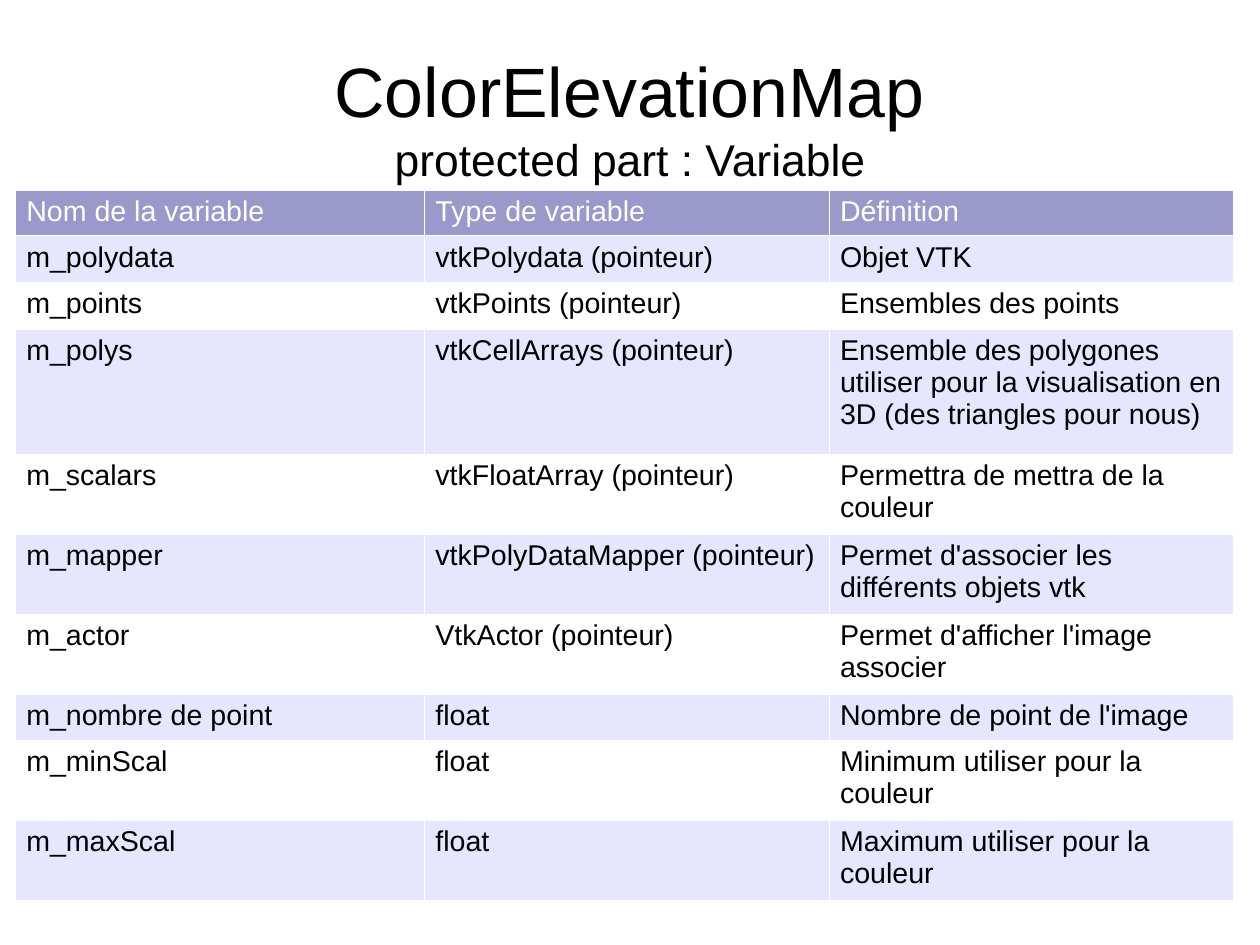
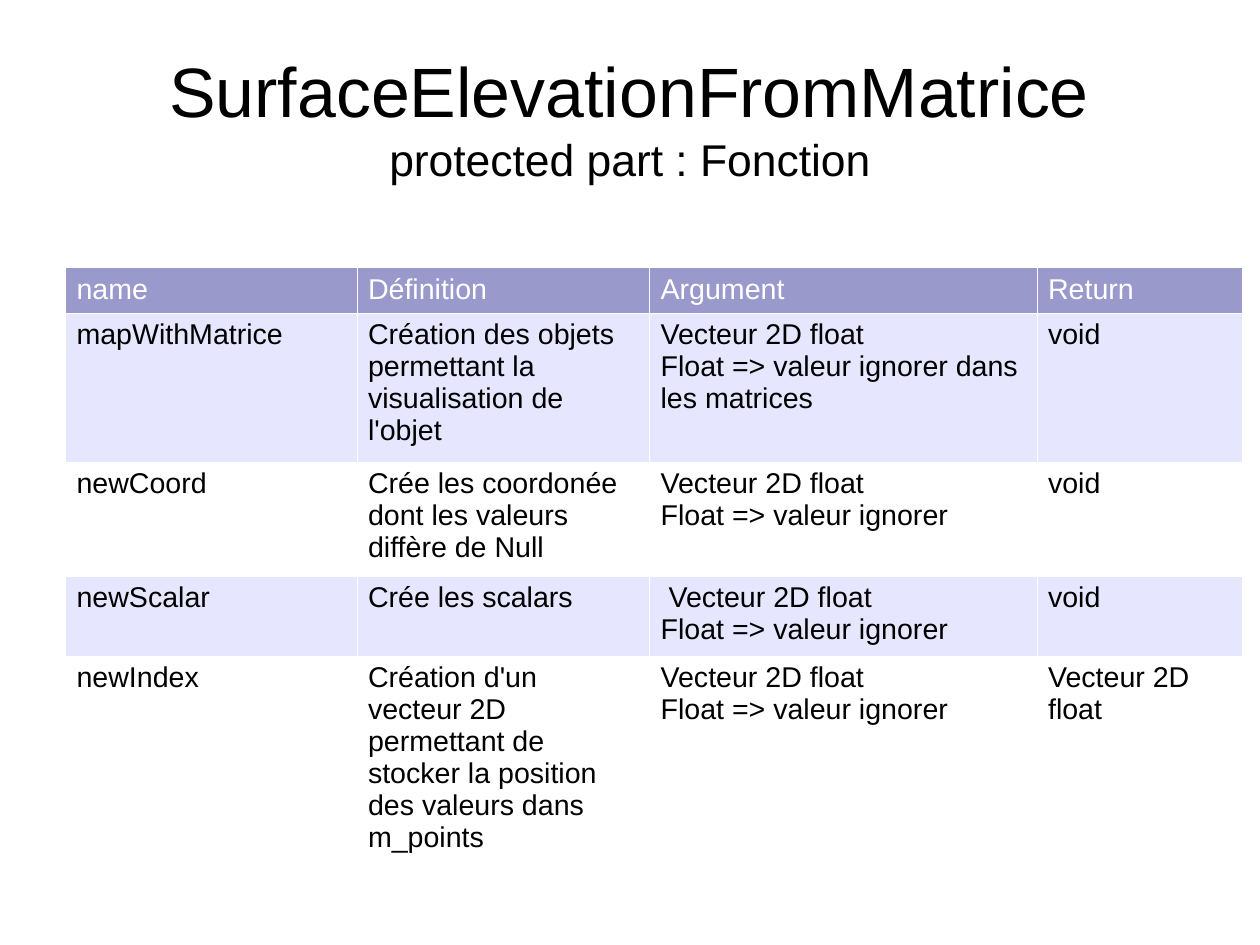
from dataclasses import dataclass

from lxml import etree
from pptx import Presentation
from pptx.dml.color import RGBColor
from pptx.enum.text import MSO_ANCHOR, PP_ALIGN
from pptx.oxml.ns import qn
from pptx.util import Inches, Pt

CENTER = PP_ALIGN.CENTER
MIDDLE = MSO_ANCHOR.MIDDLE


@dataclass(frozen=True)
class Theme:
    font: str = "Arial"
    text: str = "000000"
    paper: str = "FFFFFF"
    header: str = "9999CC"
    band: str = "E6E6FF"
    title_size: int = 44
    subtitle_size: int = 28
    cell_size: int = 18
    border_width: float = 0.06


THEME = Theme()
CM_PER_INCH = 2.54
SLIDE_SIZE = (28 / CM_PER_INCH, 21 / CM_PER_INCH)
TITLE_BOX = (0.55, 0.33, 9.92, 1.38)

VARIABLES = [
    ("Nom de la variable", "Type de variable", "Définition"),
    ("m_polydata", "vtkPolydata (pointeur)", "Objet VTK"),
    ("m_points", "vtkPoints (pointeur)", "Ensembles des points"),
    ("m_polys", "vtkCellArrays (pointeur)",
     "Ensemble des polygones utiliser pour la visualisation en 3D (des triangles pour nous)"),
    ("m_scalars", "vtkFloatArray (pointeur)", "Permettra de mettra de la couleur"),
    ("m_mapper", "vtkPolyDataMapper (pointeur)", "Permet d'associer les différents objets vtk"),
    ("m_actor", "VtkActor (pointeur)", "Permet d'afficher l'image associer"),
    ("m_nombre de point", "float", "Nombre de point de l'image"),
    ("m_minScal", "float", "Minimum utiliser pour la couleur"),
    ("m_maxScal", "float", "Maximum utiliser pour la couleur"),
]

FUNCTIONS = [
    ("name", "Définition", "Argument", "Return"),
    ("mapWithMatrice", "Création des objets permettant la visualisation de l'objet",
     "Vecteur 2D float\nFloat => valeur ignorer dans les matrices", "void"),
    ("newCoord", "Crée les coordonée dont les valeurs diffère de Null",
     "Vecteur 2D float\nFloat => valeur ignorer", "void"),
    ("newScalar", "Crée les scalars",
     " Vecteur 2D float\nFloat => valeur ignorer", "void"),
    ("newIndex",
     "Création d'un vecteur 2D permettant de stocker la position des valeurs dans m_points",
     "Vecteur 2D float\nFloat => valeur ignorer", "Vecteur 2D float"),
]


def add_run(p, text, size, color):
    r = p.add_run()
    r.text = text
    r.font.name = THEME.font
    r.font.size = Pt(size)
    r.font.color.rgb = RGBColor.from_string(color)


def add_title(s, box, title, subtitle):
    tf = s.shapes.add_textbox(*map(Inches, box)).text_frame
    tf.word_wrap = True
    tf.vertical_anchor = MIDDLE
    tf.margin_left = tf.margin_top = tf.margin_right = tf.margin_bottom = 0
    p = tf.paragraphs[0]
    p.alignment = CENTER
    add_run(p, title, THEME.title_size, THEME.text)
    p.add_line_break()
    add_run(p, subtitle, THEME.subtitle_size, THEME.text)


def add_borders(cell):
    tc_pr = cell._tc.get_or_add_tcPr()
    for side in ("a:lnL", "a:lnR", "a:lnT", "a:lnB"):
        ln = etree.SubElement(tc_pr, qn(side), w=str(int(Pt(THEME.border_width))))
        fill = etree.SubElement(ln, qn("a:solidFill"))
        etree.SubElement(fill, qn("a:srgbClr"), val=THEME.paper)


def fill_cell(cell, text, fill, color):
    add_borders(cell)
    cell.fill.solid()
    cell.fill.fore_color.rgb = RGBColor.from_string(fill)
    cell.margin_left = cell.margin_right = Inches(0.1)
    cell.margin_top = cell.margin_bottom = Inches(0.05)
    tf = cell.text_frame
    for i, line in enumerate(text.split("\n")):
        p = tf.add_paragraph() if i else tf.paragraphs[0]
        add_run(p, line, THEME.cell_size, color)


def row_colors(index):
    if index == 0:
        return THEME.header, THEME.paper
    return (THEME.band if index % 2 else THEME.paper), THEME.text


def add_grid(s, origin, widths, heights, rows):
    box = (*origin, sum(widths), sum(heights))
    table = s.shapes.add_table(len(rows), len(widths), *map(Inches, box)).table
    table.first_row = table.horz_banding = False
    for column, width in zip(table.columns, widths):
        column.width = Inches(width)
    for i, (row, height, texts) in enumerate(zip(table.rows, heights, rows)):
        row.height = Inches(height)
        for cell, text in zip(row.cells, texts):
            fill_cell(cell, text, *row_colors(i))


def add_class_slide(prs, title, subtitle, origin, widths, heights, rows):
    s = prs.slides.add_slide(prs.slide_layouts[6])
    s.background.fill.solid()
    s.background.fill.fore_color.rgb = RGBColor.from_string(THEME.paper)
    add_title(s, TITLE_BOX, title, subtitle)
    add_grid(s, origin, widths, heights, rows)


def main():
    prs = Presentation()
    prs.slide_width, prs.slide_height = map(Inches, SLIDE_SIZE)
    add_class_slide(
        prs, "ColorElevationMap", "protected part : Variable", (0.13, 1.66),
        [3.58, 3.54, 3.54],
        [0.38, 0.41, 0.41, 1.09, 0.66, 0.66, 0.66, 0.38, 0.66, 0.66], VARIABLES)
    add_class_slide(
        prs, "SurfaceElevationFromMatrice", "protected part : Fonction", (0.57, 2.34),
        [2.55, 2.56, 3.39, 1.8],
        [0.38, 1.22, 0.94, 0.66, 1.78], FUNCTIONS)
    prs.save("out.pptx")


if __name__ == "__main__":
    main()
